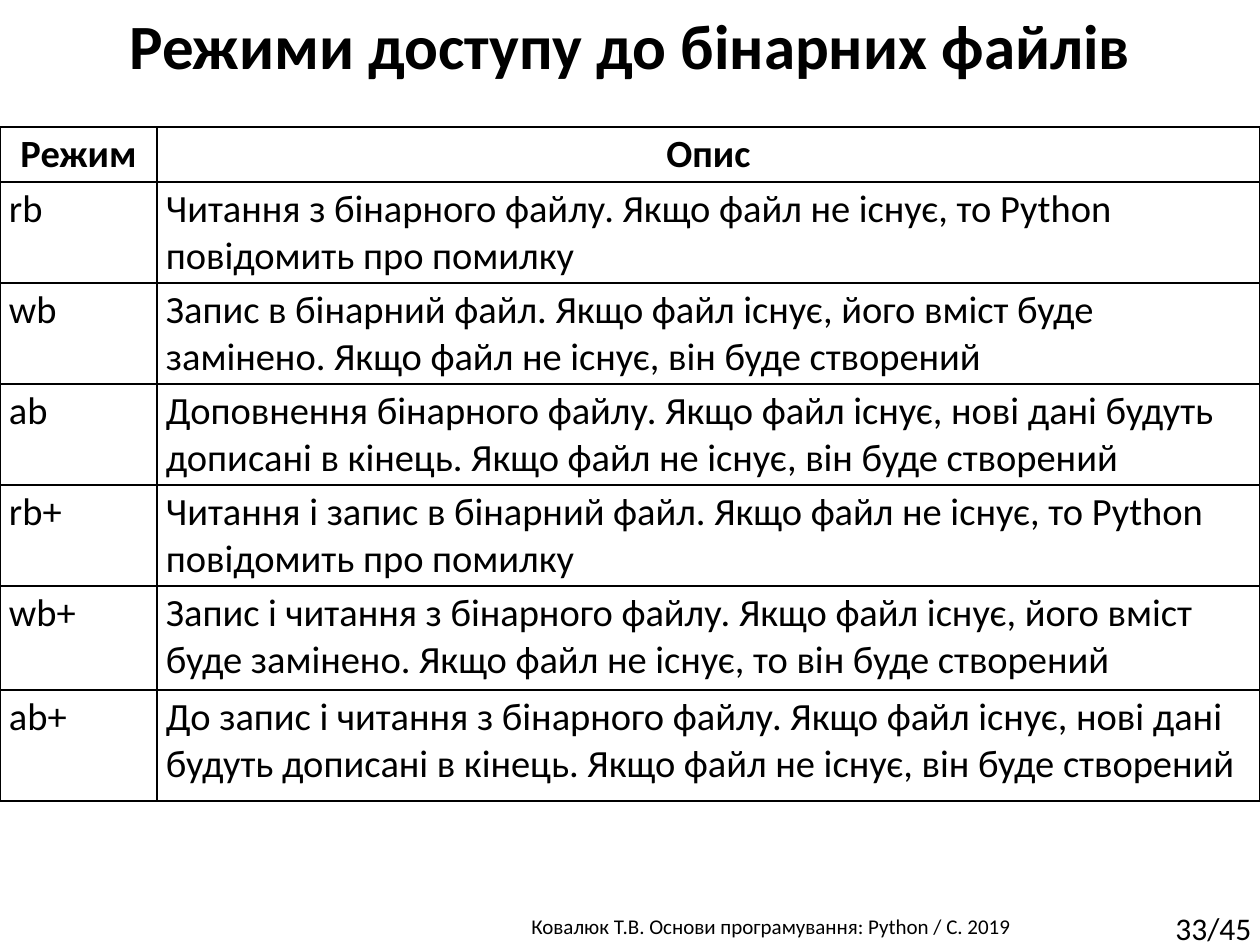
from lxml.etree import SubElement
from pptx import Presentation
from pptx.dml.color import RGBColor
from pptx.enum.text import MSO_AUTO_SIZE as AutoSize, PP_ALIGN as Align
from pptx.oxml.ns import qn
from pptx.util import Emu, Pt

BLACK = RGBColor(0, 0, 0)
WHITE = RGBColor(255, 255, 255)
PX_PER_INCH = 126

HEADER = ("Режим", "Опис")
MODES = [
    ("rb", "Читання з бінарного файлу. Якщо файл не існує, то Python "
           "повідомить про помилку"),
    ("wb", "Запис в бінарний файл. Якщо файл існує, його вміст буде "
           "замінено. Якщо файл не існує, він буде створений"),
    ("аb", "Доповнення бінарного файлу. Якщо файл існує, нові дані будуть "
           "дописані в кінець. Якщо файл не існує, він буде створений"),
    ("rb+", "Читання і запис в бінарний файл. Якщо файл не існує, то Python "
            "повідомить про помилку"),
    ("wb+", "Запис і читання з бінарного файлу. Якщо файл існує, його вміст "
            "буде замінено. Якщо файл не існує, то він буде створений"),
    ("аb+", "До запис і читання з бінарного файлу. Якщо файл існує, нові дані "
            "будуть дописані в кінець. Якщо файл не існує, він буде створений"),
]
COL_WIDTHS = (157, 1103)
ROW_HEIGHTS = (55, 101, 101, 101, 101, 104, 111)


def px(n):
    return Emu(round(n * 914400 / PX_PER_INCH))


class SlideBuilder:
    font = "Calibri"
    color = BLACK
    fill = WHITE

    def __init__(self, slide):
        self.s = slide

    def set_text(self, tf, text, size, bold=False, align=Align.LEFT):
        p = tf.paragraphs[0]
        p.text = text
        p.alignment = align
        p.font.name = self.font
        p.font.size = Pt(size)
        p.font.bold = bold
        p.font.color.rgb = self.color

    def text(self, x, y, w, h, text, size, wrap=True, **style):
        sp = self.s.shapes.add_textbox(px(x), px(y), px(w), px(h))
        tf = sp.text_frame
        tf.word_wrap = wrap
        tf.auto_size = AutoSize.SHAPE_TO_FIT_TEXT
        self.set_text(tf, text, size, **style)

    def border(self, cell):
        tc_pr = cell._tc.get_or_add_tcPr()
        for side in ("a:lnL", "a:lnR", "a:lnT", "a:lnB"):
            ln = SubElement(tc_pr, qn(side), w=str(Pt(1)))
            fill = SubElement(ln, qn("a:solidFill"))
            SubElement(fill, qn("a:srgbClr"), val=str(self.color))

    def table(self, x, y, widths, heights, rows, size):
        frame = self.s.shapes.add_table(len(heights), len(widths), px(x), px(y),
                                        px(sum(widths)), px(sum(heights)))
        table = frame.table
        for col, w in zip(table.columns, widths):
            col.width = px(w)
        for row, h, texts in zip(table.rows, heights, rows):
            row.height = px(h)
            head = texts is rows[0]
            for cell, text in zip(row.cells, texts):
                cell.margin_left = cell.margin_right = px(9)
                cell.margin_top = cell.margin_bottom = px(4)
                self.border(cell)
                cell.fill.solid()
                cell.fill.fore_color.rgb = self.fill
                self.set_text(cell.text_frame, text, size, bold=head,
                              align=Align.CENTER if head else Align.LEFT)


def main():
    prs = Presentation()
    prs.slide_width, prs.slide_height = px(1260), px(945)
    b = SlideBuilder(prs.slides.add_slide(prs.slide_layouts[6]))

    # Footer and page number
    b.text(415, 907, 717, 38, "Ковалюк Т.В. Основи програмування: Python / C. 2019 ",
           12, align=Align.CENTER)
    b.text(1163, 903, 107, 50, "33/45", 18, wrap=False)

    # Title
    b.text(0, 0, 1260, 89, "Режими доступу до бінарних файлів", 36,
           bold=True, align=Align.CENTER)

    # Table of access modes
    b.table(0, 127, COL_WIDTHS, ROW_HEIGHTS, [HEADER, *MODES], 22)

    prs.save("out.pptx")


if __name__ == "__main__":
    main()
